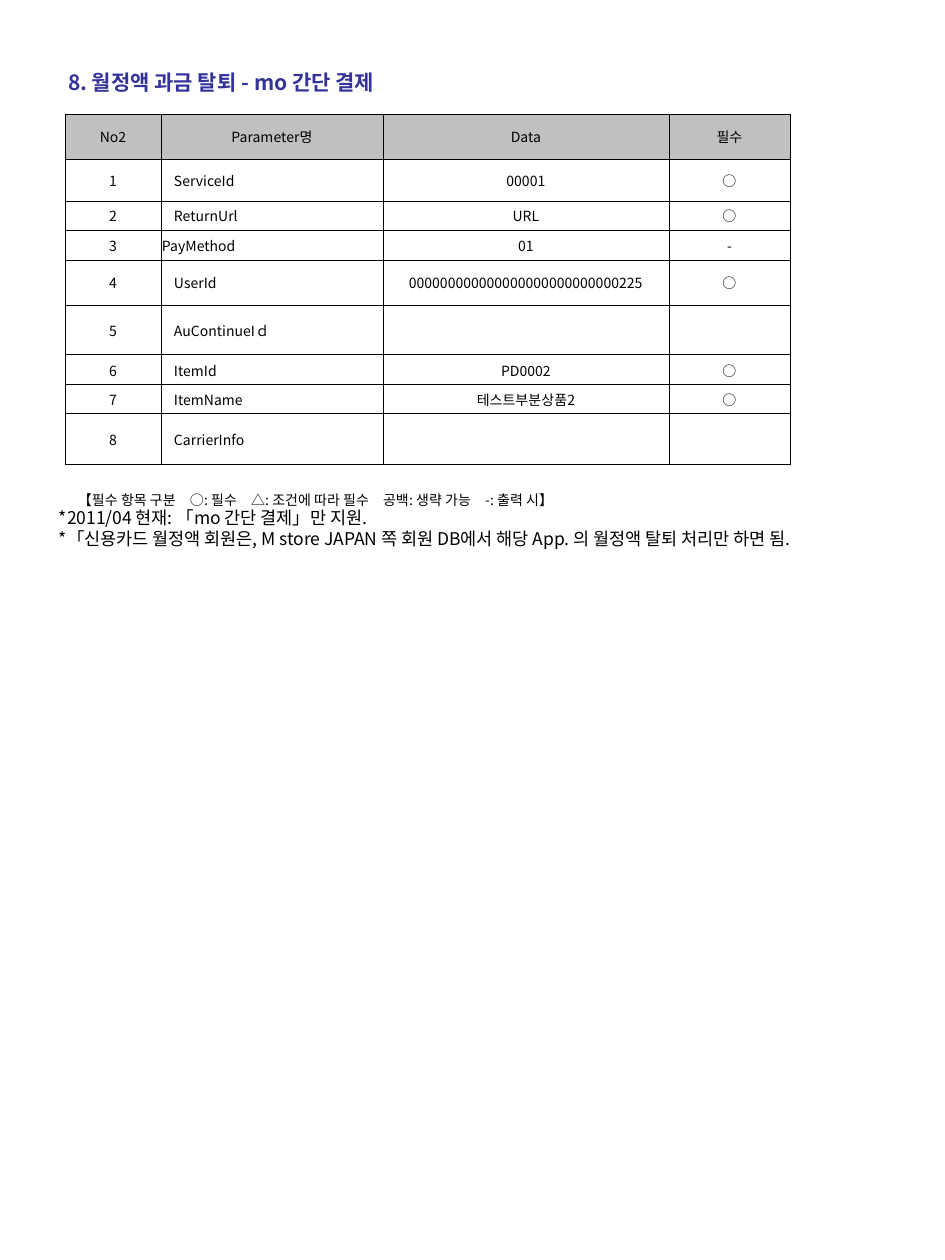
from lxml import etree
from pptx import Presentation
from pptx.dml.color import RGBColor
from pptx.enum.text import MSO_ANCHOR, MSO_AUTO_SIZE, PP_ALIGN
from pptx.oxml.ns import qn
from pptx.util import Emu, Pt

LEFT, CENTER = PP_ALIGN.LEFT, PP_ALIGN.CENTER
TOP, MIDDLE = MSO_ANCHOR.TOP, MSO_ANCHOR.MIDDLE
NO_FIT = MSO_AUTO_SIZE.NONE

NAVY = RGBColor(0x33, 0x33, 0x99)
BLACK = RGBColor(0, 0, 0)
GREY = RGBColor(0xC0, 0xC0, 0xC0)
WHITE = RGBColor(0xFF, 0xFF, 0xFF)

FONT = "Noto Sans CJK KR"
LINE_PITCH = 1.2
PX = 914400 / 126
INSET_X, INSET_Y = 13, 6
CELL_INSET_Y = 4
TITLE_ONLY = 5

TITLE = "8. 월정액 과금 탈퇴 - mo 간단 결제"
COLUMNS = [96, 222, 286, 121]
HEADER = ["No2", "Parameter명", "Data", "필수"]
# Row height, side inset, parameter, data, required mark
PARAMETERS = [
    (42, INSET_X, "ServiceId", "00001", "○"),
    (29, INSET_X, "ReturnUrl", "URL", "○"),
    (30, 1, "PayMethod", "01", "-"),
    (45, INSET_X, "UserId", "000000000000000000000000000225", "○"),
    (50, INSET_X, "AuContinueIｄ", "", ""),
    (30, INSET_X, "ItemId", "PD0002", "○"),
    (29, INSET_X, "ItemName", "테스트부분상품2", "○"),
    (51, INSET_X, "CarrierInfo", "", ""),
]
HEADER_HEIGHT, LEGEND_HEIGHT = 45, 70
LEGEND = "【필수 항목 구분　○: 필수　△: 조건에 따라 필수　공백: 생략 가능　-: 출력 시】"
NOTES = [
    "*2011/04 현재: 「mo 간단 결제」만 지원.",
    "*「신용카드 월정액 회원은, M store JAPAN 쪽 회원 DB에서 해당 App. 의 월정액 탈퇴 처리만 하면 됨.",
]


def px(length):
    return Emu(round(length * PX))


def write(para, text, size, color=BLACK, bold=False, align=LEFT):
    para.alignment = align
    span = para.add_run()
    span.text = text
    span.font.size = Pt(size)
    span.font.name = FONT
    span.font.bold = bold
    span.font.color.rgb = color
    # East Asian typeface follows the Latin one
    latin = span.font._element.find(qn("a:latin"))
    east_asian = etree.Element(qn("a:ea"), typeface=FONT)
    latin.addnext(east_asian)


def set_frame(frame):
    frame.word_wrap = True
    frame.auto_size = NO_FIT
    frame.vertical_anchor = TOP
    frame.margin_left = frame.margin_right = px(INSET_X)
    frame.margin_top = frame.margin_bottom = px(INSET_Y)


def add_title(page, left, top, width, height):
    title = page.shapes.title
    title.left, title.top = px(left), px(top)
    title.width, title.height = px(width), px(height)
    set_frame(title.text_frame)
    para = title.text_frame.paragraphs[0]
    para.line_spacing = Pt(12 * LINE_PITCH)
    write(para, TITLE, 12, NAVY, bold=True)


def add_border(cell, sides):
    properties = cell._tc.get_or_add_tcPr()
    for index, side in enumerate(("lnL", "lnR", "lnT", "lnB")):
        line = etree.Element(qn(f"a:{side}"), w=str(Pt(0.45)))
        if side in sides:
            fill = etree.SubElement(line, qn("a:solidFill"))
            etree.SubElement(fill, qn("a:srgbClr"), val=str(BLACK))
        else:
            etree.SubElement(line, qn("a:noFill"))
        properties.insert(index, line)


def fill_cell(cell, text, align, fill, inset=INSET_X,
              sides=("lnL", "lnR", "lnT", "lnB")):
    cell.fill.solid()
    cell.fill.fore_color.rgb = fill
    cell.vertical_anchor = MIDDLE
    cell.margin_left = cell.margin_right = px(inset)
    cell.margin_top = cell.margin_bottom = px(CELL_INSET_Y)
    add_border(cell, sides)
    if text:
        write(cell.text_frame.paragraphs[0], text, 8, align=align)


def add_parameter_table(page, left, top):
    heights = [HEADER_HEIGHT, *(row[0] for row in PARAMETERS), LEGEND_HEIGHT]
    table = page.shapes.add_table(
        len(heights), len(COLUMNS), px(left), px(top),
        px(sum(COLUMNS)), px(sum(heights))).table
    for column, width in zip(table.columns, COLUMNS):
        column.width = px(width)
    for row, height in zip(table.rows, heights):
        row.height = px(height)

    # Header row
    for column, text in enumerate(HEADER):
        fill_cell(table.cell(0, column), text, CENTER, GREY)

    # Numbered parameters
    for number, (_, inset, *values) in enumerate(PARAMETERS, start=1):
        for column, text in enumerate([str(number), *values]):
            align = LEFT if column == 1 else CENTER
            fill_cell(table.cell(number, column), text, align, WHITE, inset)

    # Legend across all columns
    last = len(heights) - 1
    table.cell(last, 0).merge(table.cell(last, len(COLUMNS) - 1))
    for column in range(len(COLUMNS)):
        fill_cell(table.cell(last, column), LEGEND if column == 0 else "",
                  LEFT, WHITE, sides=("lnT",))


def add_notes(page, left, top, width, height):
    frame = page.shapes.add_textbox(
        px(left), px(top), px(width), px(height)).text_frame
    set_frame(frame)
    for index, text in enumerate(NOTES):
        para = frame.add_paragraph() if index else frame.paragraphs[0]
        para.line_spacing = Pt(10 * LINE_PITCH)
        write(para, text, 10)


def main():
    deck = Presentation()
    deck.slide_width, deck.slide_height = px(945), px(1260)
    page = deck.slides.add_slide(deck.slide_layouts[TITLE_ONLY])
    add_title(page, 55, 64, 746, 63)
    add_parameter_table(page, 65, 114)
    add_notes(page, 46, 501, 833, 55)
    deck.save("out.pptx")


if __name__ == "__main__":
    main()
